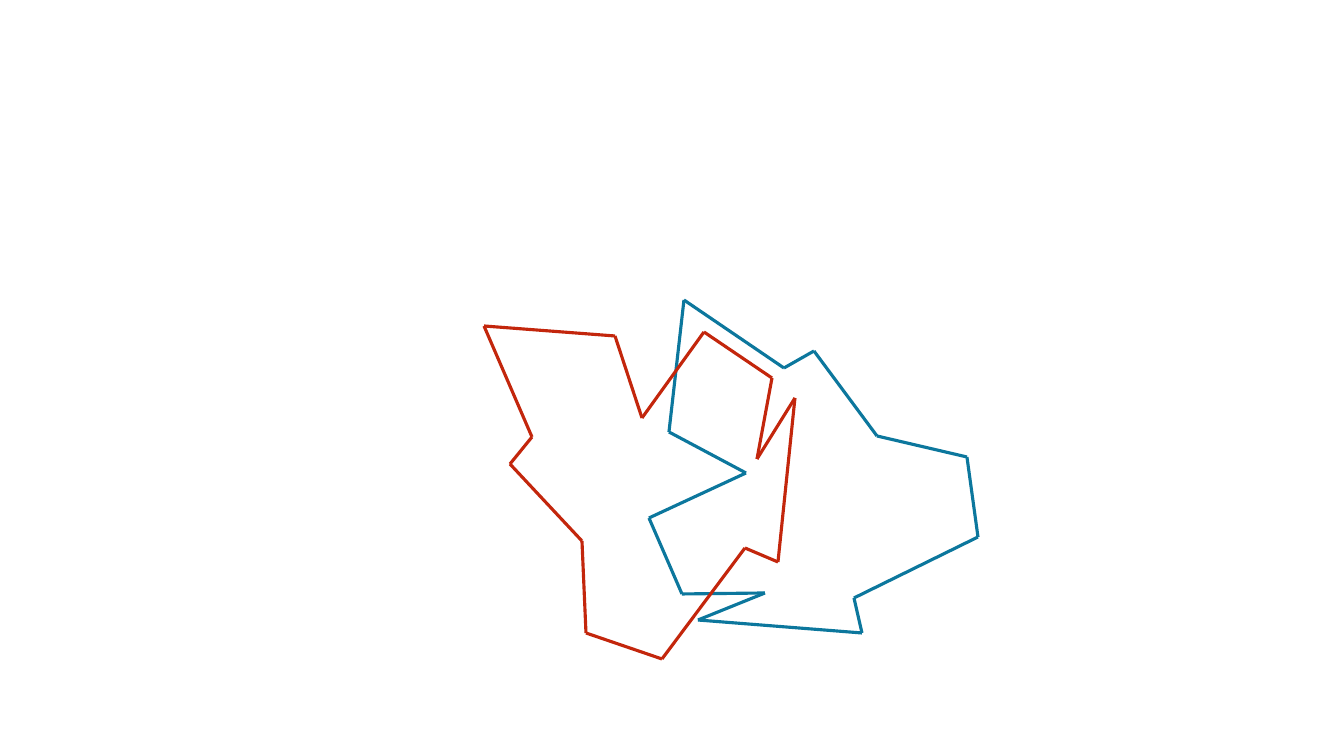
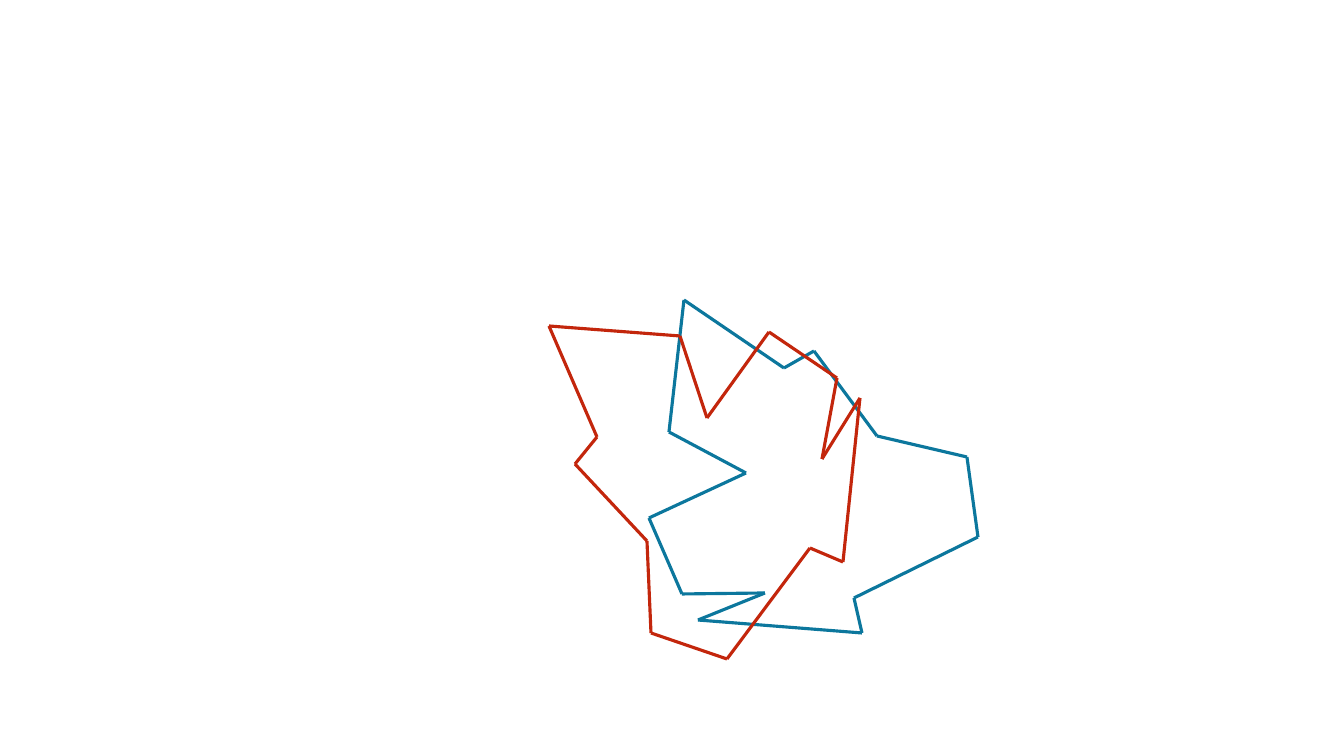
"""Build two slides on which a red outline slides across a blue one."""
import itertools

import lxml.etree
import pptx
import pptx.dml.color
import pptx.enum.shapes
import pptx.oxml.ns
import pptx.util

BLUE = pptx.dml.color.RGBColor(0x0C, 0x77, 0x9D)
RED = pptx.dml.color.RGBColor(0xC3, 0x26, 0x0C)

BLUE_CORNERS = [
    (814, 351), (877, 436), (967, 457), (978, 537), (854, 598),
    (862, 633), (698, 620), (765, 593), (682, 594), (649, 518),
    (746, 473), (669, 432), (684, 300), (784, 368),
]
RED_CORNERS = [
    (510, 464), (582, 541), (586, 633), (662, 659), (745, 548),
    (778, 562), (795, 398), (757, 459), (772, 378), (704, 332),
    (642, 418), (615, 336), (484, 326), (532, 437),
]
RED_SHIFTS = [0, 65]

SLIDE_SIZE = (1344, 756)
EMU_PER_PIXEL = 914400 / 100.8
STROKE = {"width": pptx.util.Pt(2.25)}


def emu(pixels):
    """Turn pixels into EMU."""
    return pptx.util.Emu(round(pixels * EMU_PER_PIXEL))


def draw_outline(slide, corners, color, shift=0):
    """Join the corners into a closed group of straight edges."""
    outline = slide.shapes.add_group_shape()
    edges = itertools.pairwise(corners + corners[:1])
    for (start_x, start_y), (end_x, end_y) in edges:
        ends = (start_x + shift, start_y, end_x + shift, end_y)
        edge = outline.shapes.add_connector(
            pptx.enum.shapes.MSO_CONNECTOR.STRAIGHT, *map(emu, ends))
        edge.line.color.rgb = color
        for name, value in STROKE.items():
            setattr(edge.line, name, value)
        lxml.etree.SubElement(
            edge._element.spPr, pptx.oxml.ns.qn("a:effectLst"))


deck = pptx.Presentation()
deck.slide_width, deck.slide_height = map(emu, SLIDE_SIZE)
for red_shift in RED_SHIFTS:
    page = deck.slides.add_slide(deck.slide_layouts[6])
    draw_outline(page, BLUE_CORNERS, BLUE)
    draw_outline(page, RED_CORNERS, RED, red_shift)
deck.save("out.pptx")
